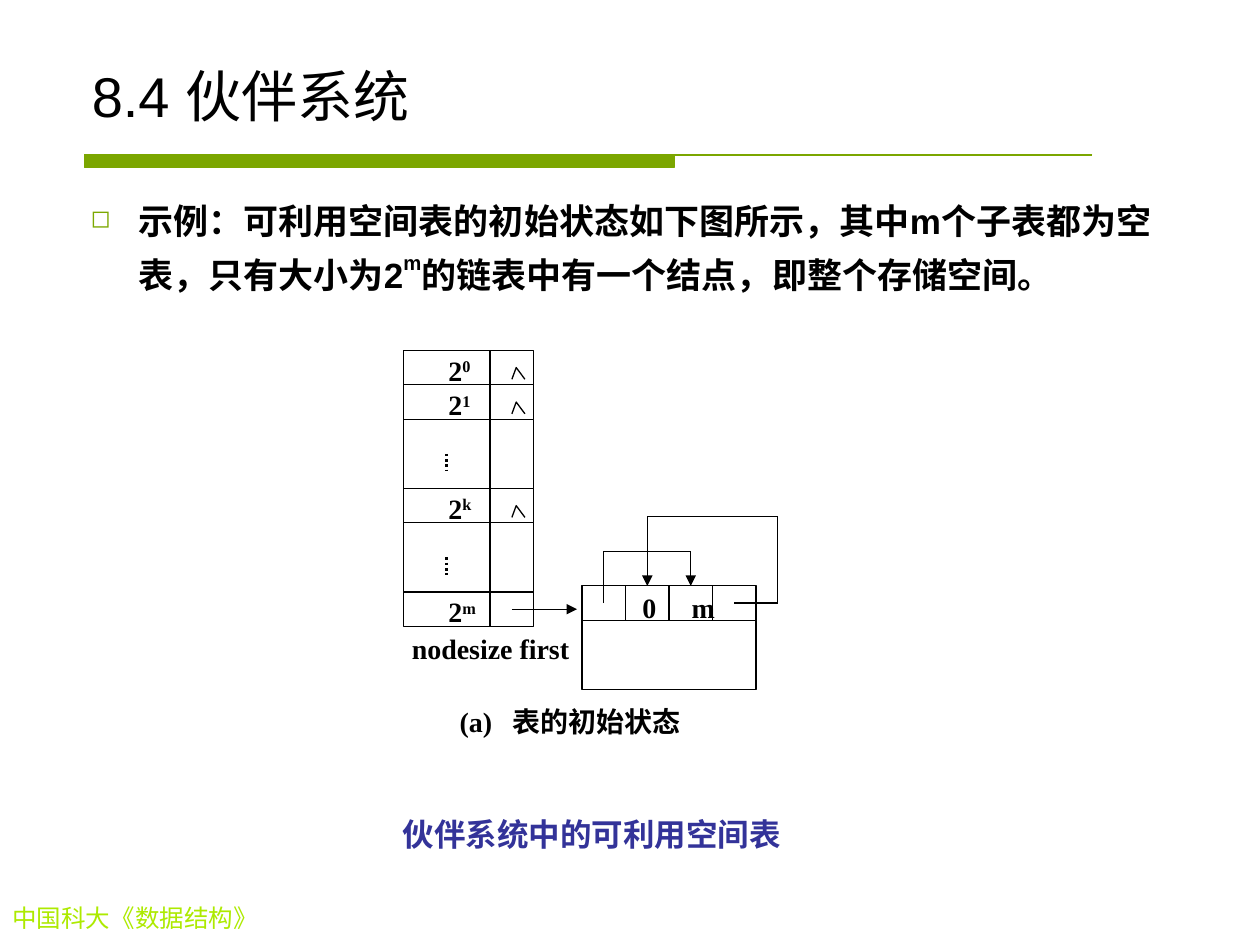
"""Build the slide on the initial free-space table of a buddy system."""
from lxml import etree
from pptx import Presentation
from pptx.dml.color import RGBColor
from pptx.enum.dml import MSO_LINE
from pptx.enum.shapes import MSO_CONNECTOR, MSO_SHAPE
from pptx.enum.text import MSO_ANCHOR
from pptx.oxml.ns import qn
from pptx.util import Inches, Pt

STRAIGHT, RECTANGLE = MSO_CONNECTOR.STRAIGHT, MSO_SHAPE.RECTANGLE
TOP, MIDDLE, BOTTOM = MSO_ANCHOR.TOP, MSO_ANCHOR.MIDDLE, MSO_ANCHOR.BOTTOM
DOTTED = MSO_LINE.ROUND_DOT
COLORS = {name: RGBColor.from_string(value) for name, value in {
    "ink": "000000", "paper": "FFFFFF", "rule": "7BA600",
    "bullet": "7CA800", "footer": "ADEA00", "caption": "333399"}.items()}
SERIF, SANS, CHINESE = "Times New Roman", "Arial", "Noto Sans CJK SC"
COL, ROW = 0.345, 0.274
TABLE_X, TABLE_Y = 3.2, 2.78
NODE_X, NODE_Y = 4.62, 4.65

deck = Presentation()
deck.slide_width, deck.slide_height = Inches(10), Inches(7.5)
slide = deck.slides.add_slide(deck.slide_layouts[6])
shapes = slide.shapes


def write(runs, x, y, width, height, size=16, color="ink", font=SERIF, bold=True,
          anchor=TOP, wrap=False, tab=None, bullet=None):
    frame = shapes.add_textbox(Inches(x), Inches(y), Inches(width), Inches(height)).text_frame
    frame.word_wrap = wrap
    frame.vertical_anchor = anchor
    paragraph = frame.paragraphs[0]
    for text, raised in runs:
        run = paragraph.add_run()
        run.text = text
        if raised:
            run._r.get_or_add_rPr().set("baseline", str(raised * 1000))
    layout = paragraph._p.get_or_add_pPr()
    if bullet:
        layout.set("marL", str(Inches(0.38)))
        layout.set("indent", str(-Inches(0.38)))
        paragraph.line_spacing = 1.2
        tint = etree.SubElement(layout, qn("a:buClr"))
        etree.SubElement(tint, qn("a:srgbClr"), val=str(COLORS["bullet"]))
        etree.SubElement(layout, qn("a:buSzPct"), val="70000")
        etree.SubElement(layout, qn("a:buChar"), char=bullet)
    if tab:
        stops = etree.SubElement(layout, qn("a:tabLst"))
        etree.SubElement(stops, qn("a:tab"), pos=str(Inches(tab)), algn="l")
    paragraph.font.size, paragraph.font.bold = Pt(size), bold
    paragraph.font.color.rgb = COLORS[color]
    paragraph.font.name = font
    etree.SubElement(layout.find(qn("a:defRPr")), qn("a:ea"), typeface=CHINESE)


def connect(x, y, start, end, arrow=False, dash=None):
    (col1, row1), (col2, row2) = start, end
    wire = shapes.add_connector(
        STRAIGHT, Inches(x + col1 * COL), Inches(y + row1 * ROW),
        Inches(x + col2 * COL), Inches(y + row2 * ROW))
    wire.line.color.rgb = COLORS["ink"]
    wire.line.width = Pt(1.5 if dash else 0.75)
    if dash:
        wire.line.dash_style = dash
    if arrow:
        etree.SubElement(wire.line._get_or_add_ln(), qn("a:tailEnd"), type="triangle")
    etree.SubElement(wire._element.spPr, qn("a:effectLst"))


outline = shapes.build_freeform(Inches(0.67), Inches(1.23), scale=1.0)
outline.add_line_segments([(Inches(x), Inches(y)) for x, y in
                           [(5.35, 1.23), (5.35, 1.33), (0.67, 1.33)]], close=True)
outline.move_to(Inches(0.67), Inches(1.23))
outline.add_line_segments([(Inches(8.67), Inches(1.23))], close=False)
title_rule = outline.convert_to_shape()
title_rule.shadow.inherit = False
title_rule.fill.solid()
title_rule.fill.fore_color.rgb = COLORS["rule"]
title_rule.line.color.rgb = COLORS["rule"]
title_rule.line.width = Pt(0.75)

write([("中国科大《数据结构》", 0)], 0, 7.12, 3.11, 0.34, 14, "footer", bold=False, wrap=True)
write([("8.4 伙伴系统", 0)], 0.63, 0.33, 8.75, 0.74, 32, font=SANS, bold=False,
      anchor=BOTTOM, wrap=True)
write([("示例：可利用空间表的初始状态如下图所示，其中m个子表都为空表，只有大小为2", 0), ("m", 50),
       ("的链表中有一个结点，即整个存储空间。", 0)],
      0.62, 1.47, 8.85, 1.2, 20, font=SANS, wrap=True, bullet="◻")
write([("(a)\t表的初始状态", 0)], 3.55, 5.54, 2.1, 0.37, wrap=True, tab=0.42)
write([("nodesize first", 0)], 3.17, 4.96, 1.45, 0.37)

table_rows = [(0, 1), (1, 1), (2, 2), (4, 1), (5, 2), (7, 1)]
cells = [(TABLE_X, TABLE_Y, col, row, 2 - col // 2, height)
         for row, height in table_rows for col in (0, 2)]
cells += [(NODE_X, NODE_Y, col, 0, 1, 1) for col in range(4)]
cells.append((NODE_X, NODE_Y, 0, 1, 4, 2))
for x, y, col, row, width, height in cells:
    cell = shapes.add_shape(RECTANGLE, Inches(x + col * COL), Inches(y + row * ROW),
                            Inches(width * COL), Inches(height * ROW))
    cell.shadow.inherit = False
    cell.fill.solid()
    cell.fill.fore_color.rgb = COLORS["paper"]
    cell.line.color.rgb = COLORS["ink"]
    cell.line.width = Pt(0.75)

for row in (0, 1, 4):
    left, peak, right = [(Inches(TABLE_X + col * COL), Inches(TABLE_Y + (row + drop) * ROW))
                         for col, drop in [(2.5, 0.84), (2.6, 0.5), (2.8, 0.84)]]
    outline = shapes.build_freeform(*left, scale=1.0)
    outline.add_line_segments([peak, right], close=False)
    null_mark = outline.convert_to_shape()
    null_mark.shadow.inherit = False
    null_mark.fill.background()
    null_mark.line.color.rgb = COLORS["ink"]
    null_mark.line.width = Pt(0.75)

for row in (3, 6):
    connect(TABLE_X, TABLE_Y, (1, row), (1, row + 0.5), dash=DOTTED)
connect(TABLE_X, TABLE_Y, (2.5, 7.5), (4, 7.5), arrow=True)

for route in ([(0.5, 0.5), (0.5, -1), (2.5, -1), (2.5, 0)],
              [(3.5, 0.5), (4.5, 0.5), (4.5, -2), (1.5, -2), (1.5, 0)]):
    for start, end in zip(route, route[1:]):
        connect(NODE_X, NODE_Y, start, end, arrow=end == route[-1])

for row, power in [(0, "0"), (1, "1"), (4, "k"), (7, "m")]:
    write([("2", 0), (power, 30)], 3.46, TABLE_Y + (row - 0.1) * ROW, 0.5, 0.37,
          anchor=MIDDLE, wrap=True)
write([("0\tm", 0)], 5, 4.64, 0.9, 0.37, wrap=True, tab=0.39)
write([("伙伴系统中的可利用空间表", 0)], 3.1, 6.42, 3.2, 0.4, 18, "caption")

deck.save("out.pptx")
